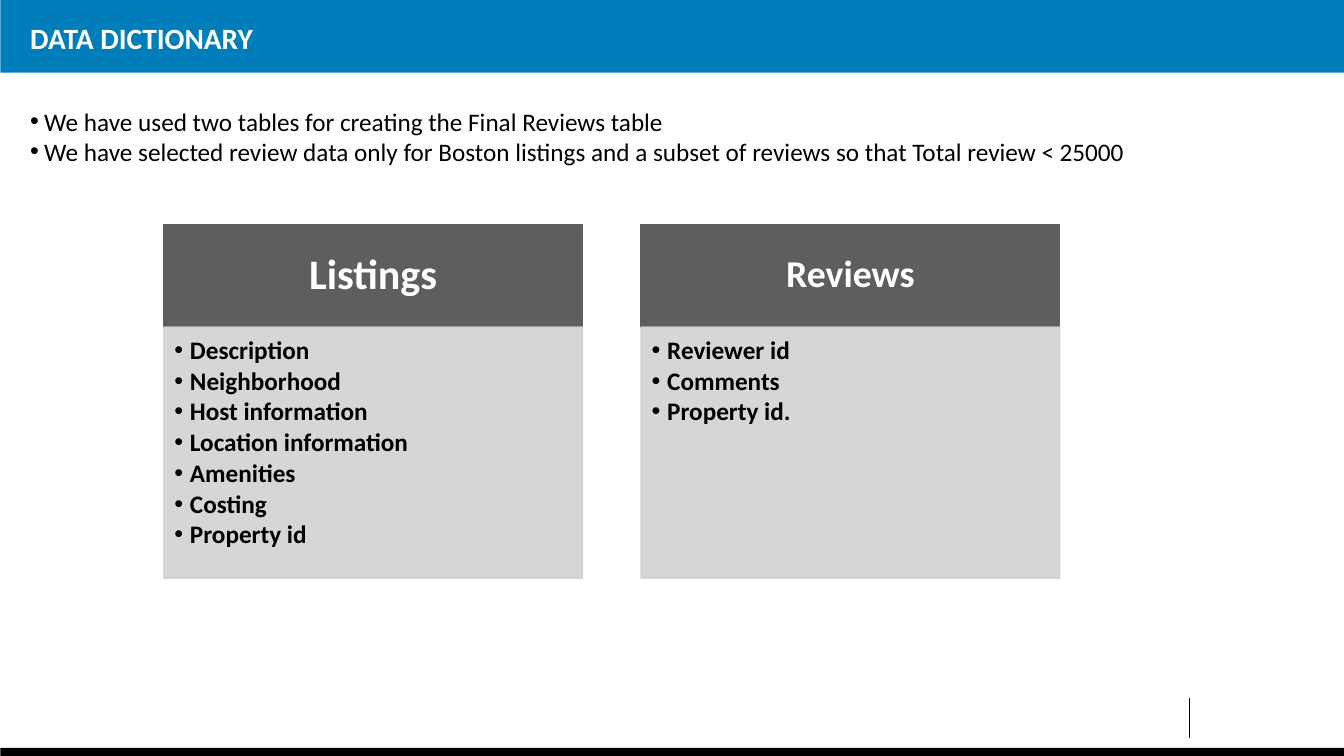
"""Build the data dictionary slide with its two table cards."""
from lxml import etree
from pptx import Presentation
from pptx.dml.color import RGBColor
from pptx.enum import shapes, text
from pptx.oxml import ns
from pptx.util import Inches, Pt

WHITE = RGBColor(0xFF, 0xFF, 0xFF)
BLACK = RGBColor(0, 0, 0)
BLUE = RGBColor(0x00, 0x7E, 0xBB)
DARK_GREY = RGBColor(0x5E, 0x5E, 0x5E)
LIGHT_GREY = RGBColor(0xD2, 0xD2, 0xD2)

CARD_TOP, CARD_WIDTH, HEADER_HEIGHT, BODY_HEIGHT = 4.45, 8.31, 2.04, 4.98
CARDS = [
    (3.25, "Listings", 60, ["Description", "Neighborhood", "Host information",
                            "Location information", "Amenities", "Costing", "Property id"]),
    (12.72, "Reviews", 54, ["Reviewer id", "Comments", "Property id."]),
]


def add_block(left, top, width, height, color, outlined=False):
    block = slide.shapes.add_shape(shapes.MSO_SHAPE.RECTANGLE, Inches(left), Inches(top),
                                   Inches(width), Inches(height))
    block.shadow.inherit = False
    block.fill.solid()
    block.fill.fore_color.rgb = color
    if outlined:
        block.line.color.rgb = color
        block.line.width = Pt(2)
    else:
        block.line.fill.background()
    return block


def write(shape, lines, size, color, bold, margins, anchor, indent=0, spacing=None, after=0):
    frame = shape.text_frame
    frame.word_wrap = True
    frame.vertical_anchor = anchor
    frame.margin_left, frame.margin_top, frame.margin_right, frame.margin_bottom = map(Inches, margins)
    frame.text = "\n".join(lines)
    for paragraph in frame.paragraphs:
        paragraph.alignment = text.PP_ALIGN.LEFT
        paragraph.line_spacing = spacing
        paragraph.space_after = Pt(after)
        if indent:
            properties = paragraph._p.get_or_add_pPr()
            properties.set("marL", str(Inches(indent)))
            properties.set("indent", str(-Inches(indent)))
            etree.SubElement(properties, ns.qn("a:buFont"), typeface="Arial")
            etree.SubElement(properties, ns.qn("a:buChar"), char="•")
        for run in paragraph.runs:
            run.font.name = "Calibri"
            run.font.size = Pt(size)
            run.font.bold = bold
            run.font.color.rgb = color


deck = Presentation()
deck.slide_width, deck.slide_height = Inches(26.67), Inches(15)
slide = deck.slides.add_slide(deck.slide_layouts[6])

add_block(0.01, 0, 26.66, 1.44, BLUE)
add_block(0.01, 14.84, 26.66, 0.16, BLACK)

footer_rule = slide.shapes.add_connector(shapes.MSO_CONNECTOR.STRAIGHT, Inches(23.6), Inches(13.85),
                                         Inches(23.6), Inches(14.64))
footer_rule.line.color.rgb = BLACK
footer_rule.line.width = Pt(1)
etree.SubElement(footer_rule._element.spPr, ns.qn("a:effectLst"))

title = slide.shapes.add_textbox(Inches(0.46), Inches(0.15), Inches(25.1), Inches(1.18))
write(title, ["DATA DICTIONARY"], 42, WHITE, True, [0.14] * 4, text.MSO_ANCHOR.MIDDLE)

summary = slide.shapes.add_textbox(Inches(0.5), Inches(2), Inches(23), Inches(2.02))
write(summary, ["We have used two tables for creating the Final Reviews table",
                "We have selected review data only for Boston listings and a subset of reviews "
                "so that Total review < 25000"],
      36, BLACK, False, [0.1] * 4, text.MSO_ANCHOR.TOP, indent=0.28)

for left, table_name, name_size, fields in CARDS:
    header = add_block(left, CARD_TOP, CARD_WIDTH, HEADER_HEIGHT, DARK_GREY, outlined=True)
    write(header, [table_name], name_size, WHITE, True, [0.45, 0.25, 0.45, 0.25],
          text.MSO_ANCHOR.MIDDLE, spacing=0.9)
    header.text_frame.paragraphs[0].alignment = text.PP_ALIGN.CENTER

    body = add_block(left, CARD_TOP + HEADER_HEIGHT, CARD_WIDTH, BODY_HEIGHT, LIGHT_GREY, outlined=True)
    for color_element in body._element.spPr.iter(ns.qn("a:srgbClr")):
        etree.SubElement(color_element, ns.qn("a:alpha"), val="90000")
    write(body, fields, 36, BLACK, True, [0.21, 0.21, 0.28, 0.32], text.MSO_ANCHOR.TOP,
          indent=0.31, spacing=0.9, after=5)

deck.save("out.pptx")
